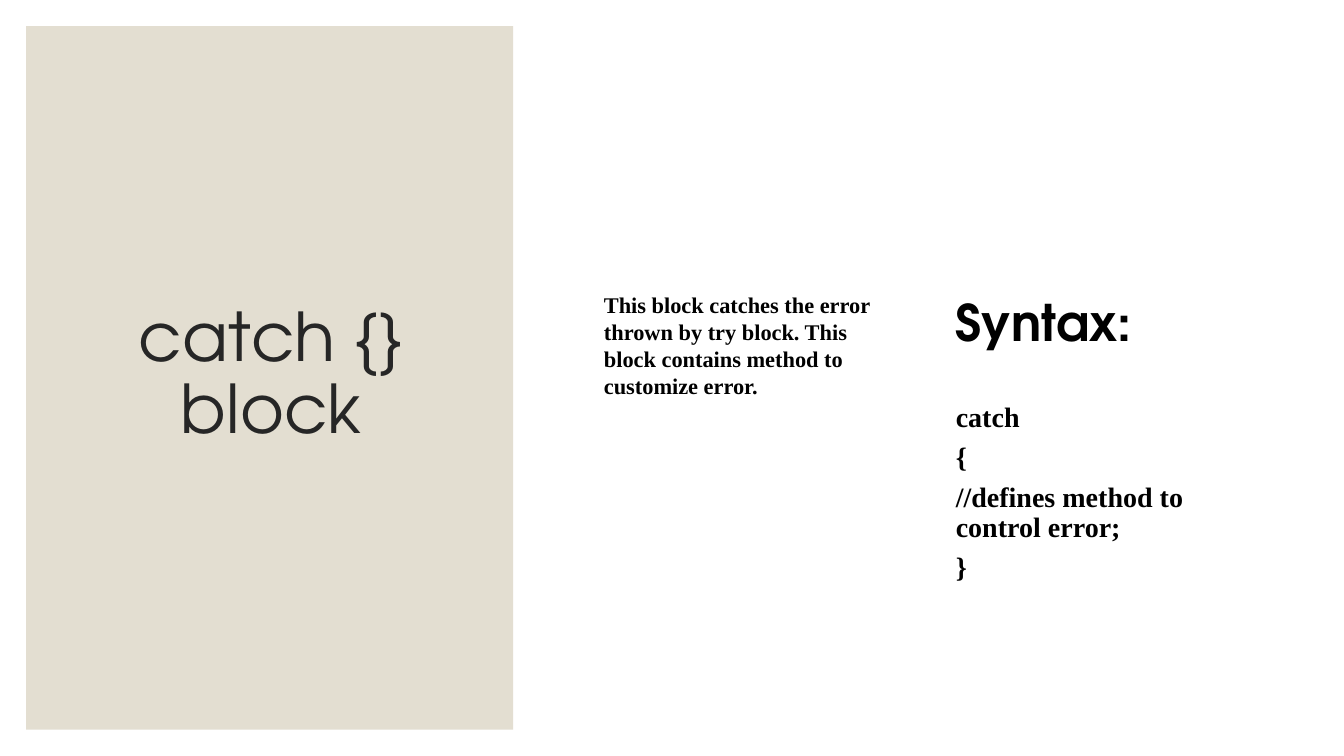
"""Build a slide that explains the catch block."""
from pptx import Presentation
from pptx.dml.color import RGBColor
from pptx.enum.shapes import MSO_SHAPE
from pptx.enum.text import MSO_ANCHOR, PP_ALIGN
from pptx.util import Inches, Pt

RECT = MSO_SHAPE.RECTANGLE
MIDDLE = MSO_ANCHOR.MIDDLE
TOP = MSO_ANCHOR.TOP
CENTER = PP_ALIGN.CENTER
LEFT = PP_ALIGN.LEFT

COLORS = {"page": "FFFFFF", "panel": "E3DED1", "title": "262626", "text": "000000"}
HEAD = "TeX Gyre Adventor"
BODY = "Times New Roman"


def color(name):
    """Return the named colour."""
    return RGBColor.from_string(COLORS[name])


def add_text(slide, box, lines, size, font, ink="text", bold=True,
             align=LEFT, anchor=TOP, pad=(0, 0), pitch=None, gap=0):
    """Place lines of text in a box, one paragraph each."""
    frame = slide.shapes.add_textbox(*map(Inches, box)).text_frame
    frame.word_wrap = True
    frame.vertical_anchor = anchor
    frame.margin_left = frame.margin_right = Inches(pad[0])
    frame.margin_top = frame.margin_bottom = Inches(pad[1])
    frame.text = "\n".join(lines)
    for index, para in enumerate(frame.paragraphs):
        para.alignment = align
        if pitch:
            para.line_spacing = pitch
        if index and gap:
            para.space_before = Pt(gap)
        for run in para.runs:
            run.font.size = Pt(size)
            run.font.name = font
            run.font.bold = bold
            run.font.color.rgb = color(ink)


def add_panel(slide, box):
    """Draw the tinted panel with the slide title in its middle."""
    left, top, width, height = box
    panel = slide.shapes.add_shape(RECT, *map(Inches, box))
    panel.shadow.inherit = False
    panel.fill.solid()
    panel.fill.fore_color.rgb = color("panel")
    panel.line.fill.background()
    inner = (left + 0.37, top + 0.35, width - 0.71, height - 0.74)
    add_text(slide, inner, ["catch {} block"], 48, HEAD, ink="title", bold=False,
             align=CENTER, anchor=MIDDLE, pad=(0.1, 0.05), pitch=0.9)


def add_notion(slide, box):
    """Write what the block does."""
    add_text(slide, box, ["This block catches the error thrown by try block. "
                          "This block contains method to customize error."], 16, BODY)


def add_syntax(slide, box):
    """Write the syntax heading with its code below."""
    left, top, width, height = box
    add_text(slide, (left, top, width, 1.03), ["Syntax:"], 36, HEAD)
    code = ["catch", "{", "//defines method to control error;", "}"]
    add_text(slide, (left, top + 1.11, width, height - 1.11), code, 20, BODY,
             pitch=0.9, gap=7)


def main():
    """Build and save the slide."""
    deck = Presentation()
    deck.slide_width, deck.slide_height = Inches(13.33), Inches(7.5)
    slide = deck.slides.add_slide(deck.slide_layouts[6])
    slide.background.fill.solid()
    slide.background.fill.fore_color.rgb = color("page")
    add_panel(slide, (0.26, 0.26, 4.83, 6.98))
    add_notion(slide, (5.99, 2.89, 2.97, 1.03))
    add_syntax(slide, (9.48, 2.89, 2.97, 2.9))
    deck.save("out.pptx")


if __name__ == "__main__":
    main()
